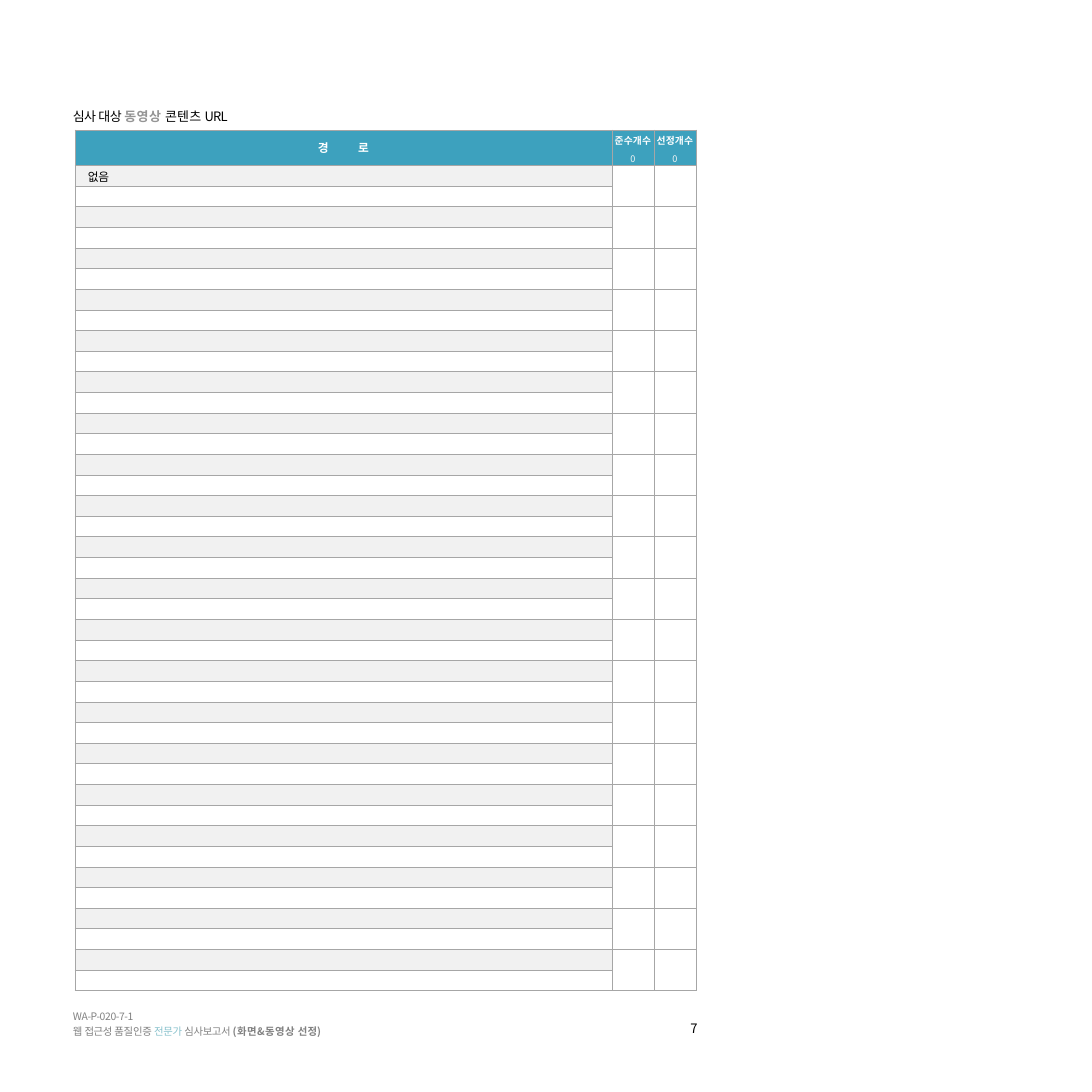
from lxml import etree
from pptx import Presentation
from pptx.dml.color import RGBColor
from pptx.enum import text as t
from pptx.oxml import ns
from pptx.util import Inches, Pt

FONT = "Noto Sans CJK KR"
COLORS = {
    "black": "000000", "white": "FFFFFF", "teal": "3DA1BE", "aqua": "87C1CC",
    "footer": "818181", "accent": "959595", "count": "F6F6F6",
    "stripe": "F1F1F1", "grid": "A6A6A6",
}
PAIRS = 20
HEADER_HEIGHT = 0.35


def rgb(name):
    return RGBColor.from_string(COLORS[name])


def add_run(paragraph, content, size=9, color="black", bold=False, spacing=0):
    run = paragraph.add_run()
    run.text = content
    font = run.font
    font.size, font.bold, font.name = Pt(size), bold, FONT
    font.color.rgb = rgb(color)
    properties = run._r.get_or_add_rPr()
    properties.set("spc", str(round(spacing * 100)))
    east_asian = etree.SubElement(properties, ns.qn("a:ea"))
    east_asian.set("typeface", FONT)


def format_frame(frame, left=0.01, top=0.01):
    frame.word_wrap = True
    frame.auto_size = t.MSO_AUTO_SIZE.NONE
    frame.vertical_anchor = t.MSO_ANCHOR.TOP
    frame.margin_left, frame.margin_top = Inches(left), Inches(top)
    frame.margin_right = frame.margin_bottom = 0
    paragraph = frame.paragraphs[0]
    paragraph.alignment = t.PP_ALIGN.LEFT
    return paragraph


def add_heading(slide, left, top, width, height):
    heading = slide.shapes.title
    heading.left, heading.top = Inches(left), Inches(top)
    heading.width, heading.height = Inches(width), Inches(height)
    line = format_frame(heading.text_frame)
    add_run(line, "심사 ", size=10, spacing=-0.4)
    add_run(line, "대상 ", size=10, spacing=-0.3)
    add_run(line, "동영상 ", size=10, color="accent", bold=True, spacing=0.4)
    add_run(line, "콘텐츠 ", size=10, spacing=0.2)
    add_run(line, "URL", size=10, spacing=-0.6)


def format_cell(cell, fill=None, top=0.03):
    cell.margin_left = cell.margin_right = cell.margin_bottom = 0
    cell.margin_top = Inches(top)
    properties = cell._tc.get_or_add_tcPr()
    for side in ("a:lnL", "a:lnR", "a:lnT", "a:lnB"):
        border = etree.SubElement(properties, ns.qn(side), w=str(Pt(0.25)))
        solid = etree.SubElement(border, ns.qn("a:solidFill"))
        etree.SubElement(solid, ns.qn("a:srgbClr"), val=COLORS["grid"])
    if fill:
        cell.fill.solid()
        cell.fill.fore_color.rgb = rgb(fill)
    else:
        cell.fill.background()
    # Small end mark, so that empty rows keep their height
    paragraph = cell.text_frame.paragraphs[0]
    etree.SubElement(paragraph._p, ns.qn("a:endParaRPr"), sz="700")
    return paragraph


def add_path_header(cell):
    paragraph = format_cell(cell, "teal", top=0.1)
    paragraph.alignment = t.PP_ALIGN.CENTER
    tabs = etree.SubElement(paragraph._p.get_or_add_pPr(), ns.qn("a:tabLst"))
    etree.SubElement(tabs, ns.qn("a:tab"), pos=str(Inches(0.43)), algn="l")
    add_run(paragraph, "경\t로", color="white", bold=True, spacing=0.1)


def add_count_header(cell, label):
    title = format_cell(cell, "teal")
    count = cell.text_frame.add_paragraph()
    title.alignment = count.alignment = t.PP_ALIGN.CENTER
    count.space_before = Pt(4.1)
    add_run(title, label, size=7.5, color="white", bold=True, spacing=0.1)
    add_run(count, "0", size=7, color="count")


def add_url_table(slide, left, top, width, height):
    table = slide.shapes.add_table(
        1 + 2 * PAIRS, 3, Inches(left), Inches(top), Inches(width), Inches(height)).table
    table.first_row = table.horz_banding = False
    count_width = 0.45
    for column, size in zip(table.columns, (width - 2 * count_width, count_width, count_width)):
        column.width = Inches(size)
    for index, row in enumerate(table.rows):
        row.height = Inches((height - HEADER_HEIGHT) / (2 * PAIRS) if index else HEADER_HEIGHT)

    # Header row
    add_path_header(table.cell(0, 0))
    add_count_header(table.cell(0, 1), "준수개수")
    add_count_header(table.cell(0, 2), "선정개수")

    # Striped path rows, with count cells spanning each pair
    for row in range(1, 1 + 2 * PAIRS):
        for column in range(3):
            striped = column == 0 and row % 2 == 1
            format_cell(table.cell(row, column), "stripe" if striped else None)
    for row in range(1, 1 + 2 * PAIRS, 2):
        for column in (1, 2):
            table.cell(row, column).merge(table.cell(row + 1, column))

    first_path = table.cell(1, 0)
    first_path.margin_left = Inches(0.14)
    add_run(first_path.text_frame.paragraphs[0], "없음", spacing=-0.2)


def add_footer(slide, left, top, width, height):
    footer = slide.shapes.add_textbox(Inches(left), Inches(top), Inches(width), Inches(height))
    code = format_frame(footer.text_frame)
    add_run(code, "WA-P-020-7-1", size=8, color="footer", spacing=-0.3)
    report = footer.text_frame.add_paragraph()
    report.space_before = Pt(2.4)
    for word, color, bold, spacing in (
        ("웹 ", "footer", False, -0.2),
        ("접근성 ", "footer", False, -0.3),
        ("품질인증 ", "footer", False, -0.2),
        ("전문가 ", "aqua", False, -0.2),
        ("심사보고서 ", "footer", False, -0.3),
        ("(화면&동영상 ", "footer", True, 0.3),
        ("선정)", "footer", True, 0),
    ):
        add_run(report, word, size=8, color=color, bold=bold, spacing=spacing)


def add_page_number(slide, left, top, width, height):
    page = slide.shapes.add_textbox(Inches(left), Inches(top), Inches(width), Inches(height))
    number = format_frame(page.text_frame, left=0.04, top=0)
    add_run(number, "7", size=10, spacing=0.5)


def main():
    deck = Presentation()
    deck.slide_width = deck.slide_height = Inches(11.69)
    slide = deck.slides.add_slide(deck.slide_layouts[5])
    add_heading(slide, 0.77, 1.15, 1.87, 0.19)
    add_url_table(slide, 0.8, 1.39, 6.65, 9.2)
    add_footer(slide, 0.77, 10.8, 2.85, 0.32)
    add_page_number(slide, 7.35, 10.93, 0.17, 0.19)
    deck.save("out.pptx")


if __name__ == "__main__":
    main()
